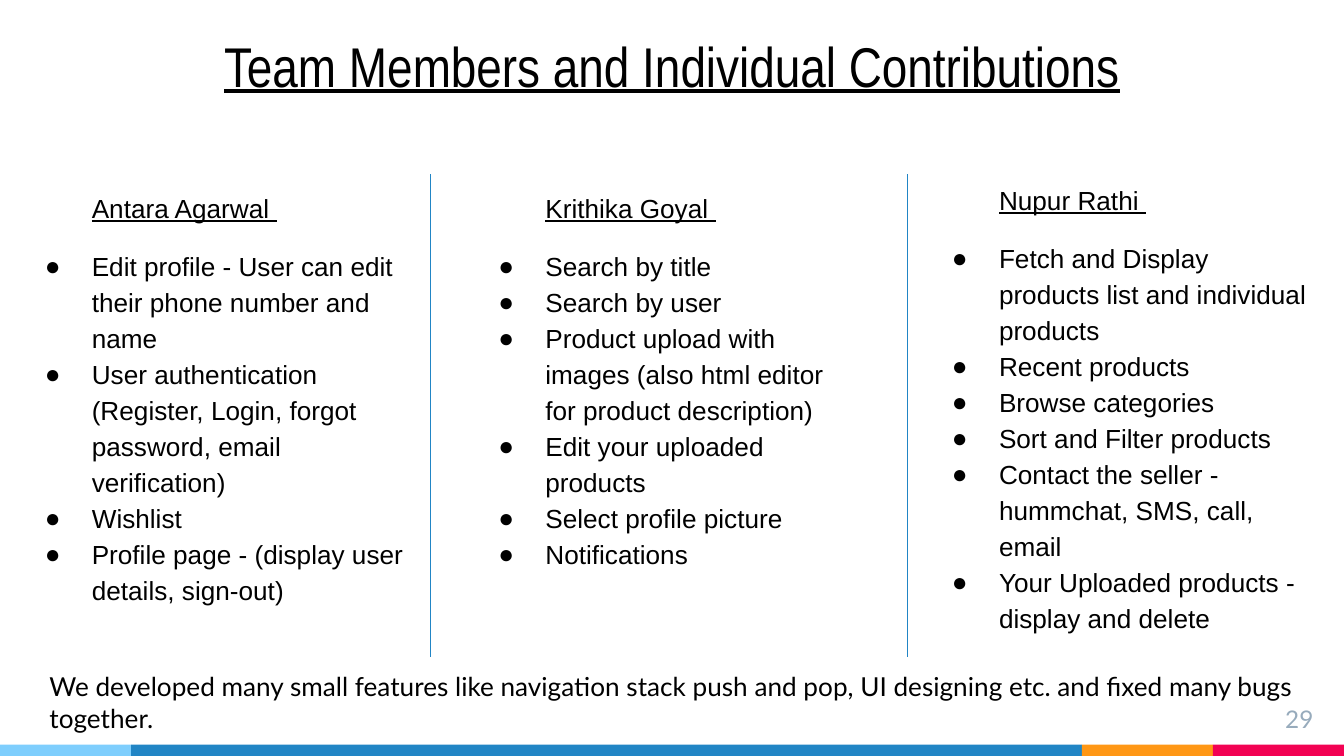
"""Build the team contributions slide."""
from dataclasses import dataclass

from lxml import etree
from pptx import Presentation
from pptx.dml.color import RGBColor
from pptx.enum.shapes import MSO_CONNECTOR, MSO_SHAPE
from pptx.enum.text import MSO_ANCHOR, MSO_AUTO_SIZE, PP_ALIGN
from pptx.oxml.ns import qn
from pptx.util import Pt

STRAIGHT = MSO_CONNECTOR.STRAIGHT
RECTANGLE = MSO_SHAPE.RECTANGLE
TOP, BOTTOM = MSO_ANCHOR.TOP, MSO_ANCHOR.BOTTOM
NO_FIT, GROW = MSO_AUTO_SIZE.NONE, MSO_AUTO_SIZE.SHAPE_TO_FIT_TEXT
LEFT, CENTER, RIGHT = PP_ALIGN.LEFT, PP_ALIGN.CENTER, PP_ALIGN.RIGHT
EMU_PER_PX = 4572
TITLE_ONLY = 5


@dataclass(frozen=True)
class Theme:
    """Colours, fonts and type sizes of the slide."""
    text: str = "000000"
    muted: str = "97ABBC"
    sky: str = "7ECEFD"
    blue: str = "2185C5"
    orange: str = "FF9715"
    red: str = "F20253"
    title_font: str = "Arial Narrow"
    list_font: str = "Arial"
    note_font: str = "Lato"
    title_size: int = 30
    body_size: int = 14
    number_size: int = 13


THEME = Theme()
STRIPES = [(195, THEME.sky), (1415, THEME.blue), (195, THEME.orange), (195, THEME.red)]
DIVIDERS = [641, 1350]
COLUMNS = [
    (17, 259, 664, "Antara Agarwal ", [
        "Edit profile - User can edit their phone number and name",
        "User authentication (Register, Login, forgot password, email verification)",
        "Wishlist",
        "Profile page - (display user details, sign-out)",
    ]),
    (692, 259, 610, "Krithika Goyal ", [
        "Search by title",
        "Search by user",
        "Product upload with images (also html editor for product description)",
        "Edit your uploaded products",
        "Select profile picture",
        "Notifications",
    ]),
    (1367, 247, 664, "Nupur Rathi ", [
        "Fetch and Display products list and individual products",
        "Recent products",
        "Browse categories",
        "Sort and Filter products",
        "Contact the seller - hummchat, SMS, call, email",
        "Your Uploaded products - display and delete",
    ]),
]


def px(length):
    """Turn whole pixels into EMU."""
    return length * EMU_PER_PX


def add_run(paragraph, text, font, size, color=THEME.text, underline=False):
    """Add one formatted run to a paragraph."""
    run = paragraph.add_run()
    run.text = text
    run.font.name = font
    run.font.size = Pt(size)
    run.font.underline = underline
    run.font.color.rgb = RGBColor.from_string(color)


def prepare_frame(shape, anchor=TOP, fit=NO_FIT):
    """Set insets, wrapping and anchor, and return the text frame."""
    frame = shape.text_frame
    frame.word_wrap = True
    frame.auto_size = fit
    frame.vertical_anchor = anchor
    frame.margin_left = frame.margin_right = px(20)
    frame.margin_top = frame.margin_bottom = px(20)
    return frame


def add_text_frame(slide, left, top, width, height, fit=NO_FIT):
    """Add a text box and return its prepared frame."""
    box = slide.shapes.add_textbox(px(left), px(top), px(width), px(height))
    return prepare_frame(box, fit=fit)


def set_title(slide, text):
    """Place and fill the title placeholder."""
    title = slide.shapes.title
    title.left, title.top, title.width, title.height = map(px, (68, 7, 1864, 160))
    paragraph = prepare_frame(title, BOTTOM).paragraphs[0]
    paragraph.alignment = CENTER
    add_run(paragraph, text, THEME.title_font, THEME.title_size, underline=True)


def add_label(slide, bounds, text, size, color, alignment, fit=NO_FIT):
    """Add a box with a single paragraph in the note font."""
    paragraph = add_text_frame(slide, *bounds, fit=fit).paragraphs[0]
    paragraph.alignment = alignment
    add_run(paragraph, text, THEME.note_font, size, color)


def add_stripes(slide):
    """Lay the coloured stripes side by side along the bottom edge."""
    left = 0
    for width, color in STRIPES:
        stripe = slide.shapes.add_shape(RECTANGLE, px(left), px(1108), px(width), px(17))
        stripe.shadow.inherit = False
        stripe.fill.solid()
        stripe.fill.fore_color.rgb = RGBColor.from_string(color)
        stripe.line.fill.background()
        left += width


def add_divider(slide, x):
    """Add a thin vertical line between two columns."""
    divider = slide.shapes.add_connector(STRAIGHT, px(x), px(259), px(x), px(978))
    divider.line.color.rgb = RGBColor.from_string(THEME.blue)
    divider.line.width = Pt(0.75)
    etree.SubElement(divider._element.spPr, qn("a:effectLst"))


def add_bullet(paragraph):
    """Give a paragraph a hanging round bullet."""
    properties = paragraph._p.get_or_add_pPr()
    properties.set("indent", str(px(-70)))
    color = etree.SubElement(properties, qn("a:buClr"))
    etree.SubElement(color, qn("a:srgbClr"), val=THEME.text)
    etree.SubElement(properties, qn("a:buFont"), typeface=THEME.list_font)
    etree.SubElement(properties, qn("a:buChar"), char="●")


def add_column(slide, left, top, height, member, contributions):
    """Add a member's underlined name and bulleted contributions."""
    frame = add_text_frame(slide, left, top, 608, height, GROW)
    for index, text in enumerate([member, *contributions]):
        paragraph = frame.add_paragraph() if index else frame.paragraphs[0]
        paragraph.line_spacing = 1.15
        paragraph.space_before = Pt(12 if index == 1 else 0)
        paragraph._p.get_or_add_pPr().set("marL", str(px(100)))
        if index:
            add_bullet(paragraph)
        add_run(paragraph, text, THEME.list_font, THEME.body_size, underline=index == 0)


def main():
    """Build and save the slide."""
    presentation = Presentation()
    presentation.slide_width, presentation.slide_height = px(2000), px(1125)
    slide = presentation.slides.add_slide(presentation.slide_layouts[TITLE_ONLY])
    add_stripes(slide)
    add_label(slide, (1854, 1028, 120, 68), "29", THEME.number_size, THEME.muted, RIGHT)
    set_title(slide, "Team Members and Individual Contributions")
    for x in DIVIDERS:
        add_divider(slide, x)
    for column in COLUMNS:
        add_column(slide, *column)
    note = ("We developed many small features like navigation stack push and pop, "
            "UI designing etc. and fixed many bugs together.")
    add_label(slide, (54, 978, 1892, 134), note, THEME.body_size, THEME.text, LEFT, GROW)
    presentation.save("out.pptx")


if __name__ == "__main__":
    main()
